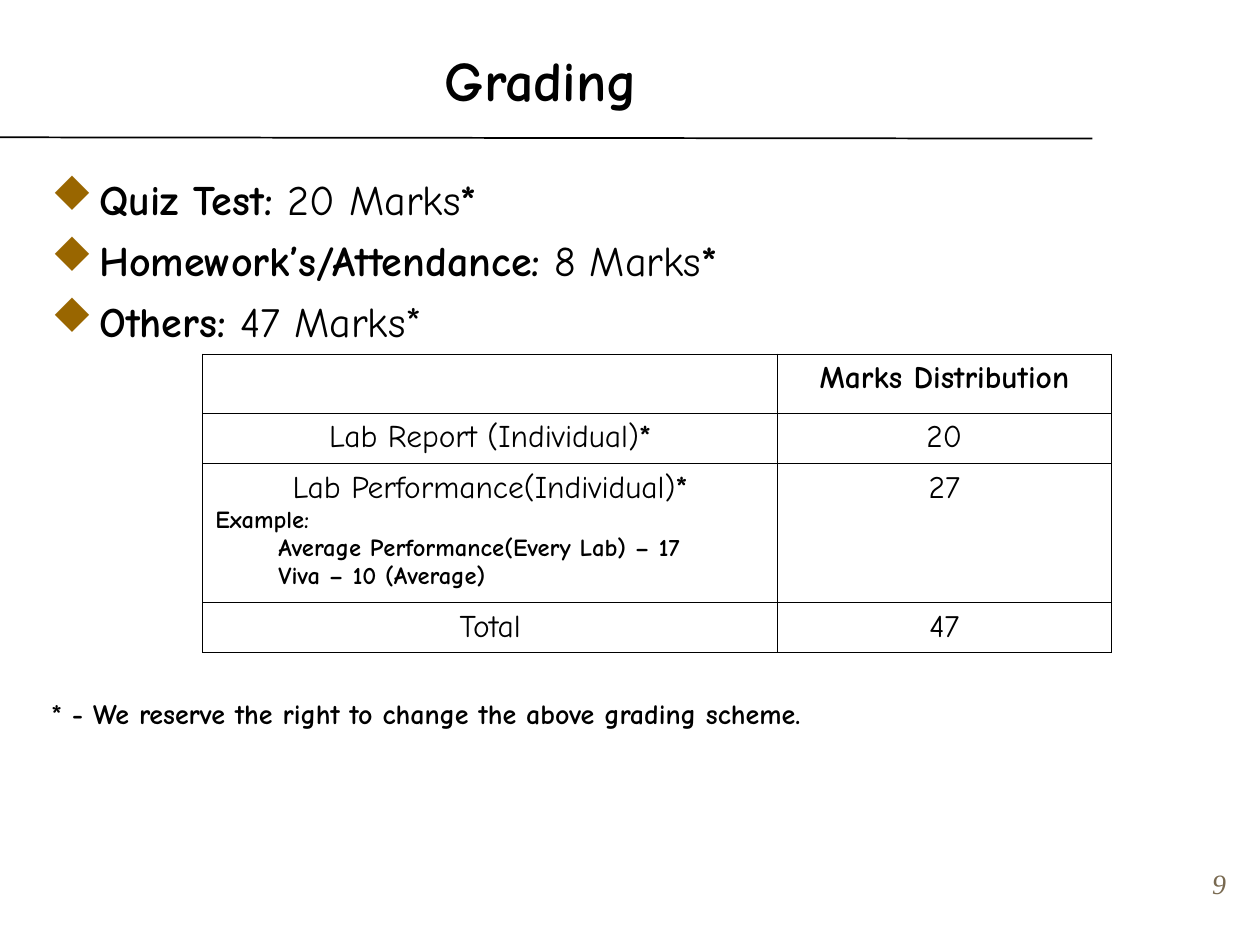
from lxml import etree
from pptx import Presentation
from pptx import util as u
from pptx.dml.color import RGBColor
from pptx.enum import shapes, text
from pptx.oxml import ns

BLACK = RGBColor(0, 0, 0)
BULLET = RGBColor(0x99, 0x66, 0x00)
TAUPE = RGBColor(0x78, 0x69, 0x50)
FONT = "Comic Neue"
BULLET_FONT, DIAMOND = "Wingdings", "u"
LEFT, CENTER, RIGHT, JUSTIFY = (
    text.PP_ALIGN.LEFT, text.PP_ALIGN.CENTER, text.PP_ALIGN.RIGHT, text.PP_ALIGN.JUSTIFY)

TITLE = [("Grading ", True)]
COMPONENTS = [
    [("Quiz Test: ", True), ("20 Marks", False), ("* ", True)],
    [("Homework’s/Attendance:", True), (" 8 Marks", False), ("* ", True)],
    [("Others:", True), (" 47 Marks*", False)],
]
FOOTNOTE = [("* - We reserve the right to change the above grading scheme.", True)]
PAGE_NUMBER = [("9", False)]

MARKS = [
    ([], [("Marks Distribution", True)]),
    ([("Lab Report (Individual)", False), ("*", True)], [("20", False)]),
    ([("Lab Performance(Individual)", False), ("*", True)], [("27", False)]),
    ([("Total", False)], [("47", False)]),
]
EXAMPLE_ROW = 2
EXAMPLE = [("Example:", 0), ("Average Performance(Every Lab) – 17", 0.5), ("Viva – 10 (Average)", 0.5)]
COLUMNS = [4.56, 2.65]
ROWS = [0.47, 0.4, 1.1, 0.4]


def write(para, runs, size, align=LEFT, color=BLACK, font=FONT):
    para.alignment = align
    para.font.size = u.Pt(size)
    para.font.name = font
    for words, bold in runs:
        span = para.add_run()
        span.text = words
        span.font.size = u.Pt(size)
        span.font.name = font
        span.font.bold = bold
        span.font.color.rgb = color


def add_box(page, left, top, width, height):
    box = page.shapes.add_textbox(*map(u.Inches, (left, top, width, height)))
    box.text_frame.word_wrap = True
    return box.text_frame


def indent(para, left, hanging=0):
    props = para._p.get_or_add_pPr()
    props.set("marL", str(u.Inches(left)))
    props.set("indent", str(-u.Inches(hanging)))
    return props


def add_bullet(para):
    props = indent(para, 0.38, 0.38)
    color = etree.SubElement(props, ns.qn("a:buClr"))
    etree.SubElement(color, ns.qn("a:srgbClr"), val=str(BULLET))
    etree.SubElement(props, ns.qn("a:buFont"), typeface=BULLET_FONT, charset="2")
    etree.SubElement(props, ns.qn("a:buChar"), char=DIAMOND)


def outline(cell):
    cell.fill.background()
    props = cell._tc.get_or_add_tcPr()
    for position, side in enumerate("LRTB"):
        line = etree.Element(ns.qn("a:ln" + side), w=str(u.Pt(0.45)))
        fill = etree.SubElement(line, ns.qn("a:solidFill"))
        etree.SubElement(fill, ns.qn("a:srgbClr"), val=str(BLACK))
        props.insert(position, line)


def add_header(page):
    rule = page.shapes.add_connector(
        shapes.MSO_CONNECTOR.STRAIGHT, 0, u.Inches(1.09), u.Inches(8.67), u.Inches(1.1))
    rule.line.color.rgb = BLACK
    rule.line.width = u.Pt(1)
    etree.SubElement(rule._element.spPr, ns.qn("a:effectLst"))
    frame = add_box(page, 0.08, 0.16, 8.59, 0.94)
    frame.vertical_anchor = text.MSO_ANCHOR.MIDDLE
    write(frame.paragraphs[0], TITLE, 32, CENTER)


def add_components(page):
    frame = add_box(page, 0.31, 1.33, 9.3, 1.45)
    for index, runs in enumerate(COMPONENTS):
        para = frame.add_paragraph() if index else frame.paragraphs[0]
        add_bullet(para)
        if index:
            para.space_before = u.Pt(6)
        write(para, runs, 24, JUSTIFY)


def add_marks_table(page):
    table = page.shapes.add_table(
        len(ROWS), len(COLUMNS), u.Inches(1.61), u.Inches(2.81),
        u.Inches(sum(COLUMNS)), u.Inches(sum(ROWS))).table
    for column, width in zip(table.columns, COLUMNS):
        column.width = u.Inches(width)
    for row, height, contents in zip(table.rows, ROWS, MARKS):
        row.height = u.Inches(height)
        for cell, runs in zip(row.cells, contents):
            outline(cell)
            write(cell.text_frame.paragraphs[0], runs, 18, CENTER)
    for words, left in EXAMPLE:
        para = table.cell(EXAMPLE_ROW, 0).text_frame.add_paragraph()
        indent(para, left)
        write(para, [(words, True)], 14)


def add_footer(page):
    note = add_box(page, 0.31, 5.48, 9.3, 0.37)
    write(note.paragraphs[0], FOOTNOTE, 16, JUSTIFY)
    number = add_box(page, 7.75, 6.83, 2.08, 0.35)
    write(number.paragraphs[0], PAGE_NUMBER, 16, RIGHT, TAUPE, "Times New Roman")
    number.paragraphs[0].runs[0].font.italic = True


def main():
    deck = Presentation()
    deck.slide_width, deck.slide_height = u.Inches(10), u.Inches(7.5)
    page = deck.slides.add_slide(deck.slide_layouts[6])
    add_header(page)
    add_components(page)
    add_marks_table(page)
    add_footer(page)
    deck.save("out.pptx")


if __name__ == "__main__":
    main()
